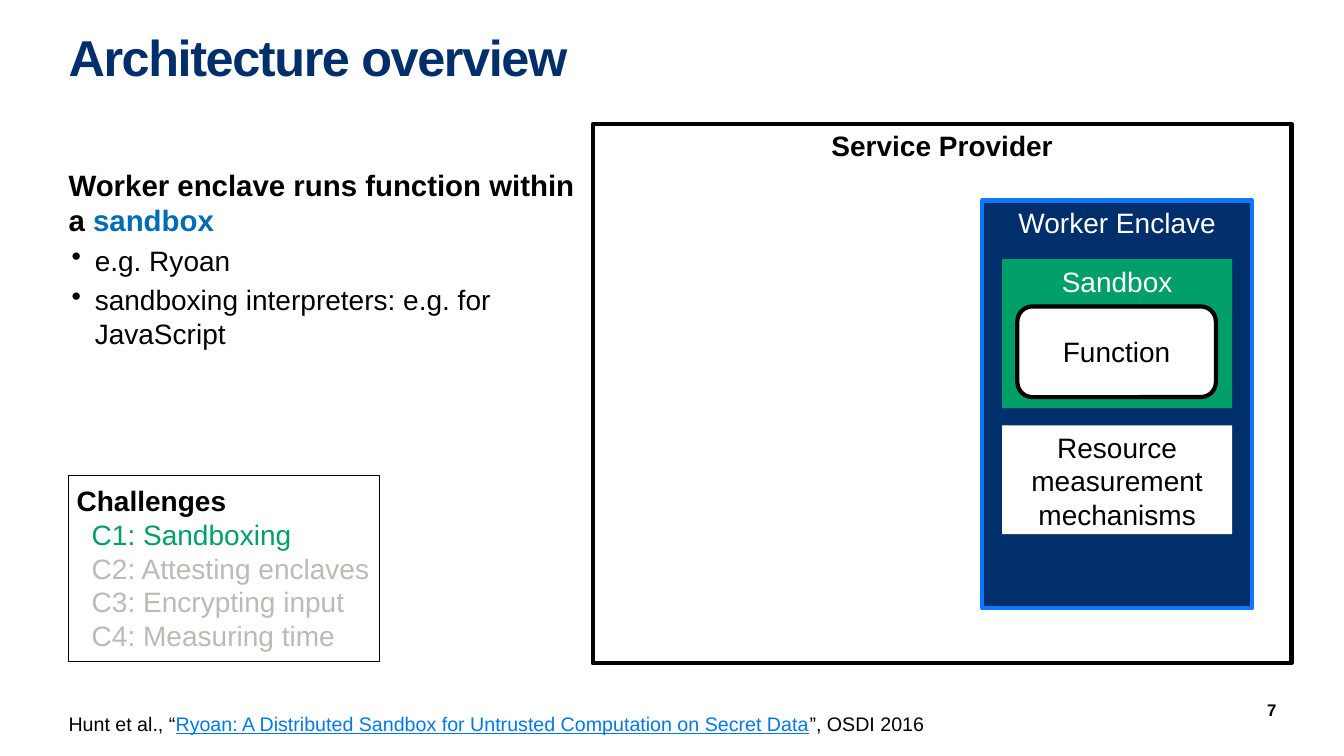
from lxml import etree
from pptx import Presentation, util as u
from pptx.dml.color import RGBColor
from pptx.enum import shapes, text
from pptx.oxml.ns import qn

PX = 9144  # EMU per px, 100 px to the inch
NAVY, GREEN, BLACK, WHITE, GREY = "002F6C", "009E69", "000000", "FFFFFF", "BDB9B3"
CENTER, RIGHT = text.PP_ALIGN.CENTER, text.PP_ALIGN.RIGHT
TOP, MIDDLE = text.MSO_ANCHOR.TOP, text.MSO_ANCHOR.MIDDLE
RECT, ROUNDED = shapes.MSO_SHAPE.RECTANGLE, shapes.MSO_SHAPE.ROUNDED_RECTANGLE


def color(value):
    return RGBColor.from_string(value)


def write(shape, paragraphs, size=20, bold=False, align=None, anchor=TOP,
          insets=(0, 0, 0, 0), spacing=None, before=0, tracking=None):
    """Each paragraph: (runs, options); each run: (words, color, overrides)."""
    frame = shape.text_frame
    frame.word_wrap = True
    frame.vertical_anchor = anchor
    (frame.margin_left, frame.margin_top,
     frame.margin_right, frame.margin_bottom) = [n * PX for n in insets]
    for i, (runs, options) in enumerate(paragraphs):
        para = frame.add_paragraph() if i else frame.paragraphs[0]
        para.alignment = align or text.PP_ALIGN.LEFT
        para.space_before = u.Pt(before)
        if spacing:
            para.line_spacing = spacing
        props = para._p.get_or_add_pPr()
        props.set("marL", str(options.get("left", 0) * PX))
        props.set("indent", str(options.get("hang", 0) * PX))
        if "bullet" in options:
            etree.SubElement(props, qn("a:buChar")).set("char", options["bullet"])
        for words, ink, *overrides in runs:
            style = overrides[0] if overrides else {}
            run = para.add_run()
            run.text = words
            run.font.name = "Arial"
            run.font.size = u.Pt(style.get("size", size))
            run.font.bold = style.get("bold", bold)
            run.font.underline = style.get("underline", False)
            run.font.color.rgb = color(ink)
            if tracking:
                run._r.get_or_add_rPr().set("spc", str(tracking))


deck = Presentation()
deck.slide_width, deck.slide_height = 1333 * PX, 750 * PX
slide = deck.slides.add_slide(deck.slide_layouts[6])

# Title, explanation, page number and citation
strong = {"size": 21, "bold": True}
item = {"left": 26, "hang": -23, "bullet": "•"}
texts = [
    ((68, 35, 1197, 131), [([("Architecture overview", NAVY)], {})],
     dict(size=36, bold=True, spacing=0.85, tracking=-100)),
    ((68, 166, 505, 438), [
        ([("Worker enclave runs function within a ", BLACK, strong),
          ("sandbox", "006CB4", strong)], {}),
        ([("e.g. Ryoan", BLACK)], item),
        ([("sandboxing interpreters: e.g. for JavaScript", BLACK)], item)],
     dict(before=4)),
    ((1179, 696, 87, 17), [([("7", BLACK)], {})],
     dict(size=12, bold=True, align=RIGHT, anchor=MIDDLE, insets=(10, 5, 0, 5))),
    ((68, 706, 1000, 24), [
        ([("Hunt et al., “", BLACK),
          ("Ryoan: A Distributed Sandbox for Untrusted Computation on Secret Data",
           "0078EB", {"underline": True}),
          ("”, OSDI 2016", BLACK)], {})],
     dict(size=14)),
]
for place, paragraphs, style in texts:
    write(slide.shapes.add_textbox(*[n * PX for n in place]), paragraphs, **style)

# Nested architecture boxes and the list of challenges
label = dict(align=CENTER, insets=(10, 5, 10, 5))
challenges = [([("Challenges", BLACK, {"bold": True})], {})]
for challenge, ink in [("C1: Sandboxing", GREEN), ("C2: Attesting enclaves", GREY),
                       ("C3: Encrypting input", GREY), ("C4: Measuring time", GREY)]:
    challenges.append(([(challenge, ink)], {"left": 15}))

boxes = [
    (RECT, (588, 123, 693, 535), None, (BLACK, 3),
     [([("Service Provider", BLACK)], {})], dict(label, bold=True)),
    (RECT, (974, 199, 268, 404), NAVY, ("0E77FF", 3),
     [([("Worker Enclave", WHITE)], {})], label),
    (RECT, (994, 257, 228, 148), GREEN, None,
     [([("Sandbox", WHITE)], {})], label),
    (ROUNDED, (1009, 304, 197, 90), WHITE, (BLACK, 3),
     [([("Function", BLACK)], {})], dict(label, anchor=MIDDLE)),
    (RECT, (994, 422, 228, 108), WHITE, None,
     [([("Resource measurement mechanisms", BLACK)], {})], label),
    (RECT, (68, 472, 308, 184), None, (BLACK, 0.75),
     challenges, dict(insets=(8, 8, 8, 8))),
]
for kind, place, fill, border, paragraphs, style in boxes:
    box = slide.shapes.add_shape(kind, *[n * PX for n in place])
    box.shadow.inherit = False
    if fill:
        box.fill.solid()
        box.fill.fore_color.rgb = color(fill)
    else:
        box.fill.background()
    if border:
        box.line.color.rgb = color(border[0])
        box.line.width = u.Pt(border[1])
    else:
        box.line.fill.background()
    write(box, paragraphs, **style)

deck.save("out.pptx")
